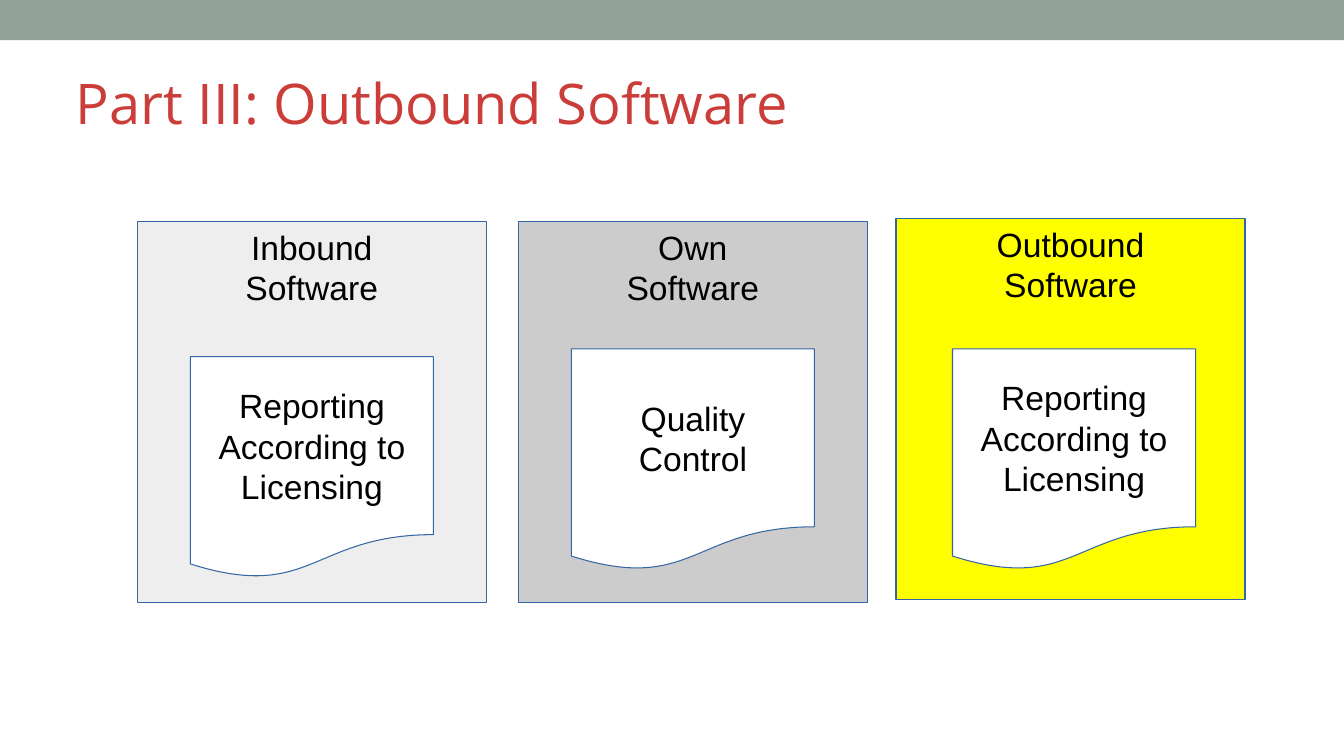
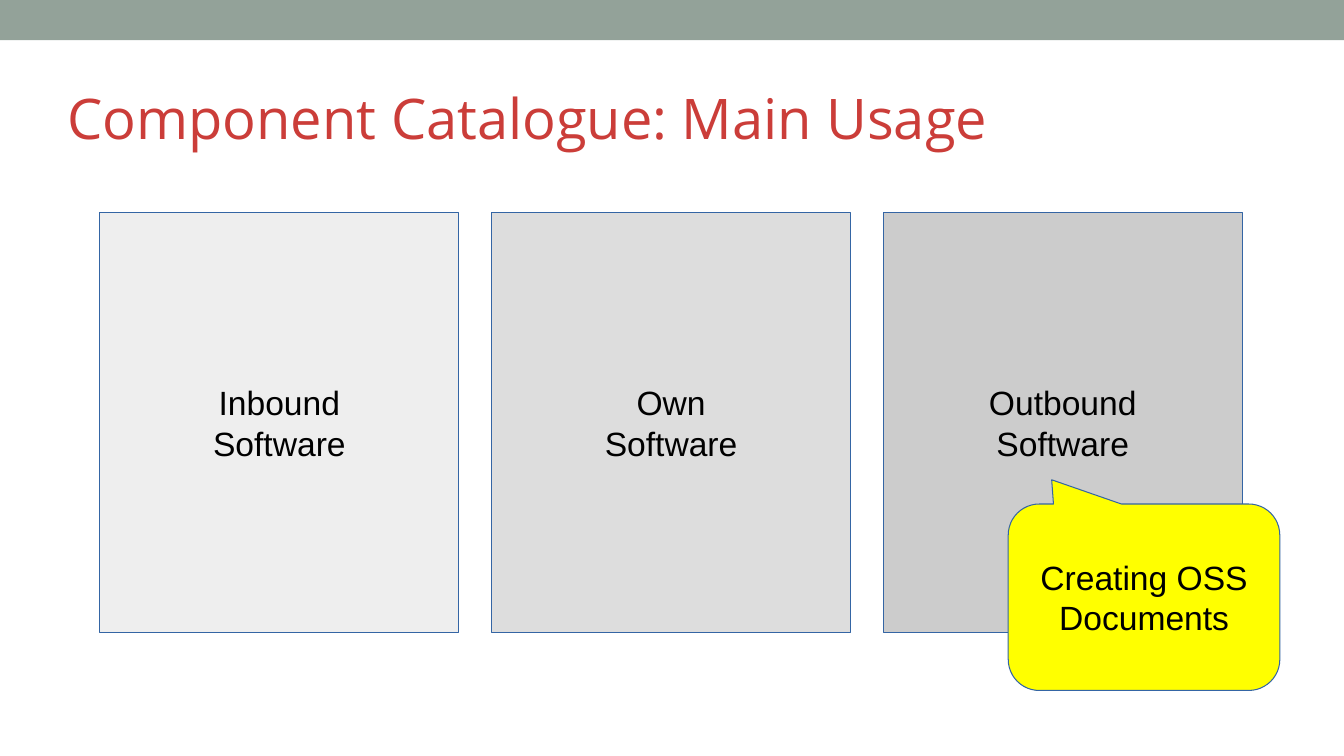
"""Build two slides on inbound, own and outbound software."""
from pptx import Presentation
from pptx.dml.color import RGBColor
from pptx.enum.shapes import MSO_SHAPE
from pptx.enum.text import MSO_ANCHOR, MSO_AUTO_SIZE, PP_ALIGN
from pptx.util import Pt

RECT = MSO_SHAPE.RECTANGLE
PAGE = MSO_SHAPE.FLOWCHART_DOCUMENT
BUBBLE = MSO_SHAPE.ROUNDED_RECTANGULAR_CALLOUT
TOP, MIDDLE, BOTTOM = MSO_ANCHOR.TOP, MSO_ANCHOR.MIDDLE, MSO_ANCHOR.BOTTOM
LEFT, CENTER = PP_ALIGN.LEFT, PP_ALIGN.CENTER
NO_FIT = MSO_AUTO_SIZE.NONE

SAGE = RGBColor(0x93, 0xA2, 0x99)
RED = RGBColor(0xCB, 0x3D, 0x39)
BLUE = RGBColor(0x34, 0x65, 0xA4)
BLACK = RGBColor(0x00, 0x00, 0x00)
WHITE = RGBColor(0xFF, 0xFF, 0xFF)
YELLOW = RGBColor(0xFF, 0xFF, 0x00)
PALE = RGBColor(0xEE, 0xEE, 0xEE)
LIGHT = RGBColor(0xDD, 0xDD, 0xDD)
GREY = RGBColor(0xCC, 0xCC, 0xCC)

WIDTH, HEIGHT = 960, 540
STAGES = ("Inbound\nSoftware", "Own\nSoftware", "Outbound\nSoftware")
REPORT = "Reporting\nAccording to\nLicensing"


def write(frame, text, font, size, color, align):
    """Write each line of text as one paragraph with one run."""
    for i, line in enumerate(text.split("\n")):
        para = frame.add_paragraph() if i else frame.paragraphs[0]
        para.alignment = align
        run = para.add_run()
        run.text = line
        run.font.name = font
        run.font.size = Pt(size)
        run.font.color.rgb = color


def add_box(slide, kind, box, fill, text, anchor=MIDDLE):
    """Add a filled, outlined shape with centred text."""
    shape = slide.shapes.add_shape(kind, *map(Pt, box))
    shape.shadow.inherit = False
    shape.fill.solid()
    shape.fill.fore_color.rgb = fill
    shape.line.color.rgb = BLUE
    shape.line.width = Pt(0.75)
    frame = shape.text_frame
    frame.word_wrap = True
    frame.vertical_anchor = anchor
    write(frame, text, "Arial", 24, BLACK, CENTER)
    return shape


def add_band(layout, slide):
    """Put the top band on the layout, behind its other parts."""
    band = slide.shapes.add_shape(RECT, 0, 0, Pt(WIDTH), Pt(28.8))
    band.shadow.inherit = False
    band.fill.solid()
    band.fill.fore_color.rgb = SAGE
    band.line.fill.background()
    layout.shapes.element.insert(2, band.element)


def add_slide(prs, layout, text, left, top):
    """Add a slide and place its title."""
    slide = prs.slides.add_slide(layout)
    title = slide.shapes.title
    title.left, title.top = Pt(left), Pt(top)
    title.width, title.height = Pt(864), Pt(82.8)
    frame = title.text_frame
    frame.margin_left = frame.margin_right = 0
    frame.margin_top = frame.margin_bottom = 0
    frame.word_wrap = True
    frame.auto_size = NO_FIT
    frame.vertical_anchor = BOTTOM
    write(frame, text, "Open Sans", 40, RED, LEFT)
    return slide


def add_parts(slide):
    """Add the three stages, each with its document."""
    places = ((98, 158.5), (370.2, 158.5), (640, 156.3))
    fills = (PALE, GREY, YELLOW)
    for text, (left, top), fill in zip(STAGES, places, fills):
        add_box(slide, RECT, (left, top, 249.3, 272), fill, text, TOP)
    pages = ((REPORT, 254.8), ("Quality\nControl", 249.2), (REPORT, 249.2))
    for i, (text, top) in enumerate(pages):
        box = (136 + 272.2 * i, top, 173.6, 158.5)
        add_box(slide, PAGE, box, WHITE, text)


def add_usage(slide):
    """Add the three stages and the callout on the last."""
    for i, (text, fill) in enumerate(zip(STAGES, (PALE, LIGHT, GREY))):
        box = (71.4 + 279.8 * i, 151.7, 256.3, 300.2)
        add_box(slide, RECT, box, fill, text)
    box = (720.2, 360, 194, 133.2)
    note = add_box(slide, BUBBLE, box, YELLOW, "Creating OSS Documents")
    note.adjustments[0] = -0.34
    note.adjustments[1] = -0.63


def main():
    """Build and save the deck."""
    prs = Presentation()
    prs.slide_width, prs.slide_height = Pt(WIDTH), Pt(HEIGHT)
    layout = prs.slide_layouts[5]
    parts = add_slide(prs, layout, "Part III: Outbound Software", 54, 14.4)
    add_band(layout, parts)
    add_parts(parts)
    usage = add_slide(prs, layout, "Component Catalogue: Main Usage", 48.2, 25.2)
    add_usage(usage)
    prs.save("out.pptx")


if __name__ == "__main__":
    main()
